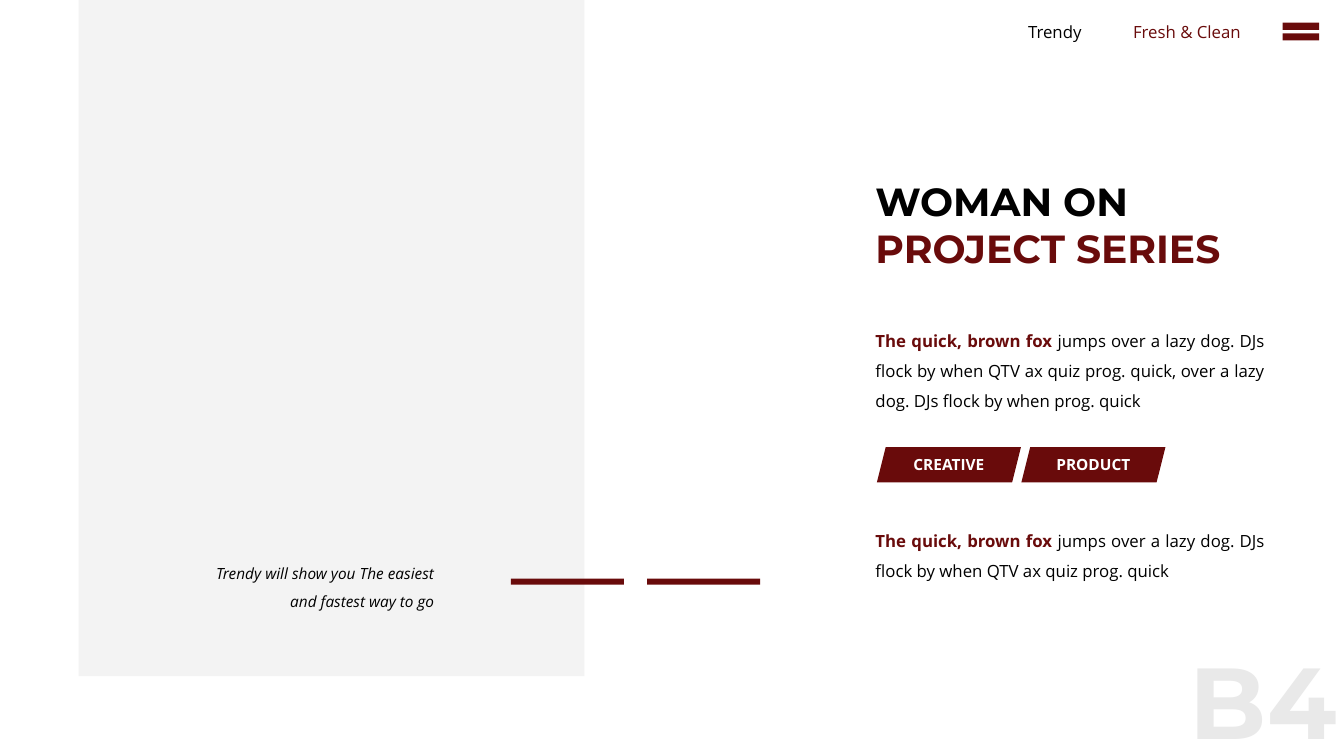
from dataclasses import dataclass

from pptx import Presentation
from pptx.dml.color import RGBColor
from pptx.enum.shapes import MSO_SHAPE
from pptx.enum.text import MSO_ANCHOR, PP_ALIGN
from pptx.shapes.autoshape import Shape
from pptx.slide import Slide
from pptx.util import Pt

MAROON = RGBColor(0x69, 0x0B, 0x0B)
BLACK = RGBColor(0x00, 0x00, 0x00)
WHITE = RGBColor(0xFF, 0xFF, 0xFF)
PANEL_GREY = RGBColor(0xF3, 0xF3, 0xF3)
NUMBER_GREY = RGBColor(0xE9, 0xE9, 0xE9)
HEADING_FONT = "Montserrat"
BODY_FONT = "Open Sans"
COLUMN_LEFT = 618.3
HEADER_TOP = 11.8


@dataclass(frozen=True)
class Box:
    left: float
    top: float
    width: float
    height: float

    def lengths(self) -> tuple[Pt, Pt, Pt, Pt]:
        return Pt(self.left), Pt(self.top), Pt(self.width), Pt(self.height)


@dataclass(frozen=True)
class Span:
    text: str
    color: RGBColor = BLACK
    bold: bool = False
    italic: bool = False


@dataclass(frozen=True)
class TextBlock:
    box: Box
    spans: tuple[Span, ...]
    size: float = 12
    font: str = BODY_FONT
    align: PP_ALIGN = PP_ALIGN.LEFT
    line_spacing: float = 1.0
    wrap: bool = True
    side_margin: float = 7.2


@dataclass(frozen=True)
class Block:
    box: Box
    kind: MSO_SHAPE = MSO_SHAPE.RECTANGLE
    color: RGBColor = MAROON
    label: str = ""


LEAD = Span("The quick, brown fox ", MAROON, bold=True)

BLOCKS = [
    Block(Box(56.2, 0, 361.2, 483), color=PANEL_GREY),
    *(Block(Box(365 + 97.3 * index, 413.3, 80.6, 4.3)) for index in range(2)),
    Block(Box(911.5, HEADER_TOP, 35.5, 21.6), MSO_SHAPE.MATH_EQUAL),
    *(
        Block(Box(626.4 + 103.2 * index, 319.3, 102.9, 25.2), MSO_SHAPE.PARALLELOGRAM, label=label)
        for index, label in enumerate(("CREATIVE", "PRODUCT"))
    ),
]

TEXTS = [
    TextBlock(
        Box(133.7, 393.1, 183.6, 45.4),
        (Span("Trendy will show you The easiest and fastest way to go", italic=True),),
        size=11, align=PP_ALIGN.RIGHT, line_spacing=1.5,
    ),
    TextBlock(
        Box(726.5, HEADER_TOP, 54, 21.6), (Span("Trendy"),),
        align=PP_ALIGN.CENTER, wrap=False,
    ),
    TextBlock(
        Box(801.4, HEADER_TOP, 92.9, 21.6), (Span("Fresh & Clean", MAROON),),
        align=PP_ALIGN.CENTER, wrap=False,
    ),
    TextBlock(
        Box(COLUMN_LEFT, 123.1, 268.6, 74.9),
        (Span("WOMAN ON ", bold=True), Span("PROJECT SERIES", MAROON, bold=True)),
        size=28, font=HEADING_FONT,
    ),
    TextBlock(
        Box(COLUMN_LEFT, 225.2, 292.3, 70.6),
        (LEAD, Span("jumps over a lazy dog. DJs flock by when QTV ax quiz prog. quick, "
                    "over a lazy dog. DJs flock by when prog. quick")),
        align=PP_ALIGN.JUSTIFY, line_spacing=1.5,
    ),
    TextBlock(
        Box(COLUMN_LEFT, 368.5, 292.3, 48.2),
        (LEAD, Span("jumps over a lazy dog. DJs flock by when QTV ax quiz prog. quick")),
        align=PP_ALIGN.JUSTIFY, line_spacing=1.5,
    ),
    TextBlock(
        Box(850, 452.5, 110, 87.5), (Span("B4", NUMBER_GREY, bold=True),),
        size=72, font=HEADING_FONT, side_margin=0,
    ),
]


def write_text(shape: Shape, block: TextBlock) -> None:
    frame = shape.text_frame
    frame.word_wrap = block.wrap
    frame.margin_left = frame.margin_right = Pt(block.side_margin)
    para = frame.paragraphs[0]
    para.alignment = block.align
    para.line_spacing = block.line_spacing
    for span in block.spans:
        run = para.add_run()
        run.text = span.text
        run.font.name = block.font
        run.font.size = Pt(block.size)
        run.font.bold = span.bold
        run.font.italic = span.italic
        run.font.color.rgb = span.color


def draw_block(page: Slide, block: Block) -> None:
    shape = page.shapes.add_shape(block.kind, *block.box.lengths())
    shape.shadow.inherit = False
    shape.fill.solid()
    shape.fill.fore_color.rgb = block.color
    shape.line.fill.background()
    if block.label:
        shape.text_frame.vertical_anchor = MSO_ANCHOR.MIDDLE
        label = Span(block.label, WHITE, bold=True)
        write_text(shape, TextBlock(block.box, (label,), size=11, align=PP_ALIGN.CENTER))


def draw_text(page: Slide, block: TextBlock) -> None:
    write_text(page.shapes.add_textbox(*block.box.lengths()), block)


def main() -> None:
    deck = Presentation()
    deck.slide_width, deck.slide_height = Pt(960), Pt(540)
    page = deck.slides.add_slide(deck.slide_layouts[6])
    for block in BLOCKS:
        draw_block(page, block)
    for text in TEXTS:
        draw_text(page, text)
    deck.save("out.pptx")


if __name__ == "__main__":
    main()
